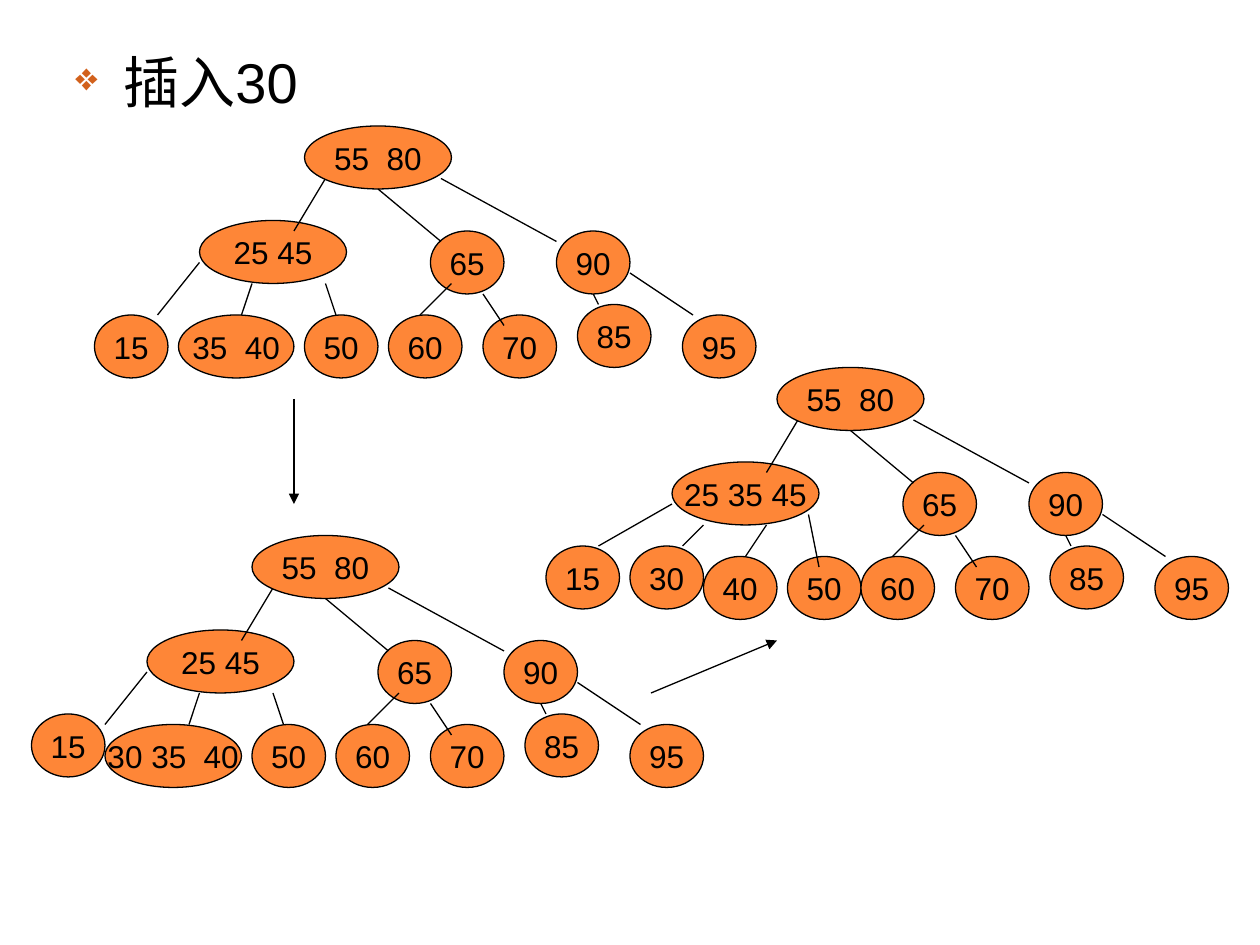
from lxml.etree import SubElement
from pptx import Presentation
from pptx.dml.color import RGBColor
from pptx.enum.shapes import MSO_CONNECTOR, MSO_SHAPE
from pptx.enum.text import MSO_ANCHOR, PP_ALIGN
from pptx.oxml.ns import qn
from pptx.util import Inches, Pt

TITLE = "插入30"
UNITS_PER_INCH = 12
NODE_WIDTH, WIDE_WIDTH, NODE_HEIGHT = 7, 14, 6
ORANGE, BULLET, BLACK = "FE8637", "D2611C", "000000"

OUTER_LEAVES = [("85", 26, 17, NODE_WIDTH), ("95", 36, 18, NODE_WIDTH)]
UPPER_NODES = [
    ("55  80", 0, 0, WIDE_WIDTH),
    ("90", 24, 10, NODE_WIDTH),
    ("65", 12, 10, NODE_WIDTH),
    ("60", 8, 18, NODE_WIDTH),
    ("70", 17, 18, NODE_WIDTH),
]
OUTER_EDGES = [(-1, 10, 2, 5), (13, 5, 24, 11), (27, 15, 28, 17), (31, 14, 37, 18)]
MIDDLE_EDGES = [(7, 6, 13, 11), (14, 15, 11, 18), (17, 16, 19, 19)]
THREE_CHILD_EDGES = [(-10, 13, -14, 18), (2, 15, 3, 18), (-5, 15, -6, 18)]
FOUR_CHILD_EDGES = [(-10, 13, -17, 17), (3, 14, 4, 19), (-7, 15, -9, 17), (-1, 15, -3, 18)]

TREES = [
    {
        "origin": (29, 12),
        "left_key": "25 45",
        "leaves": [("15", -20, 18, 7), ("35  40", -12, 18, 11), ("50", 0, 18, 7)],
        "edges": THREE_CHILD_EDGES,
    },
    {
        "origin": (24, 51),
        "left_key": "25 45",
        "leaves": [("15", -21, 17, 7), ("30 35  40", -14, 18, 13), ("50", 0, 18, 7)],
        "edges": THREE_CHILD_EDGES,
    },
    {
        "origin": (74, 35),
        "left_key": "25 35 45",
        "leaves": [("15", -22, 17, 7), ("30", -14, 17, 7), ("40", -7, 18, 7), ("50", 1, 18, 7)],
        "edges": FOUR_CHILD_EDGES,
    },
]
STEP_ARROWS = [(28, 38, 28, 48), (62, 66, 74, 61)]


def color(value):
    """Turn a hex string into a colour."""
    return RGBColor.from_string(value)


def units(value):
    """Turn grid units into a length."""
    return Inches(value / UNITS_PER_INCH)


def style_text(paragraph, size):
    """Set the font of a paragraph."""
    paragraph.font.name = "Arial"
    paragraph.font.size = Pt(size)
    paragraph.font.color.rgb = color(BLACK)


def add_title(slide):
    """Add the bulleted heading."""
    box = slide.shapes.add_textbox(Inches(0.5), Inches(0.33), Inches(9), Inches(6.37))
    box.text_frame.word_wrap = True
    paragraph = box.text_frame.paragraphs[0]
    paragraph.text = TITLE
    properties = paragraph._p.get_or_add_pPr()
    properties.set("marL", str(Inches(0.38)))
    properties.set("indent", str(-Inches(0.38)))
    bullet_color = SubElement(properties, qn("a:buClr"))
    SubElement(bullet_color, qn("a:srgbClr"), val=BULLET)
    SubElement(properties, qn("a:buSzPct"), val="70000")
    SubElement(properties, qn("a:buChar"), char="❖")
    style_text(paragraph, 32)


def add_node(slide, origin, node):
    """Add one tree node relative to the root's corner."""
    keys, left, top, width = node
    shape = slide.shapes.add_shape(
        MSO_SHAPE.OVAL,
        units(origin[0] + left),
        units(origin[1] + top),
        units(width),
        units(NODE_HEIGHT),
    )
    shape.shadow.inherit = False
    shape.fill.solid()
    shape.fill.fore_color.rgb = color(ORANGE)
    shape.line.color.rgb = color(BLACK)
    shape.line.width = Pt(0.75)
    frame = shape.text_frame
    frame.word_wrap = False
    frame.vertical_anchor = MSO_ANCHOR.MIDDLE
    paragraph = frame.paragraphs[0]
    paragraph.text = keys
    paragraph.alignment = PP_ALIGN.CENTER
    style_text(paragraph, 18)


def add_line(slide, origin, ends, arrow=False):
    """Add one straight line, with an arrowhead if asked."""
    x, y = origin
    start_x, start_y, end_x, end_y = ends
    line = slide.shapes.add_connector(
        MSO_CONNECTOR.STRAIGHT,
        units(x + start_x),
        units(y + start_y),
        units(x + end_x),
        units(y + end_y),
    )
    line.line.color.rgb = color(BLACK)
    line.line.width = Pt(0.75)
    if arrow:
        SubElement(line.line._get_or_add_ln(), qn("a:tailEnd"), type="triangle")
    SubElement(line._element.spPr, qn("a:effectLst"))


def add_tree(slide, tree):
    """Add a whole tree, from back to front."""
    origin = tree["origin"]
    left_node = (tree["left_key"], -10, 9, WIDE_WIDTH)
    layers = [
        (tree["leaves"] + [left_node] + OUTER_LEAVES, tree["edges"] + OUTER_EDGES),
        (UPPER_NODES, MIDDLE_EDGES),
    ]
    for nodes, edges in layers:
        for node in nodes:
            add_node(slide, origin, node)
        for edge in edges:
            add_line(slide, origin, edge)


def main():
    """Build and save the slide."""
    presentation = Presentation()
    presentation.slide_width = Inches(10)
    presentation.slide_height = Inches(7.5)
    slide = presentation.slides.add_slide(presentation.slide_layouts[6])
    add_title(slide)
    for tree in TREES:
        add_tree(slide, tree)
    for ends in STEP_ARROWS:
        add_line(slide, (0, 0), ends, arrow=True)
    presentation.save("out.pptx")


if __name__ == "__main__":
    main()
